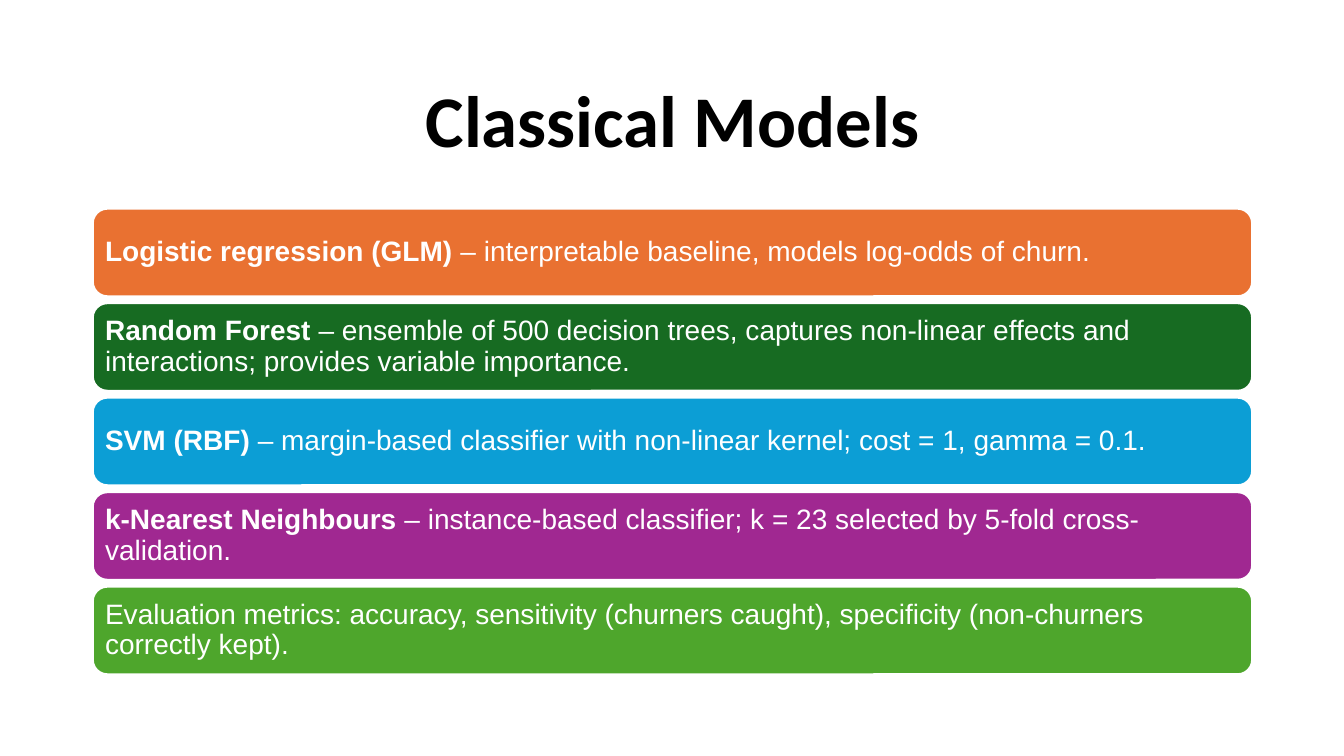
from dataclasses import dataclass

from pptx import Presentation
from pptx.dml.color import RGBColor
from pptx.enum.shapes import MSO_SHAPE
from pptx.enum.text import MSO_ANCHOR, MSO_AUTO_SIZE, PP_ALIGN
from pptx.slide import Slide
from pptx.text.text import TextFrame, _Paragraph
from pptx.util import Inches, Pt

COLORS = {
    "black": "000000",
    "white": "FFFFFF",
    "orange": "E97131",
    "forest": "176B22",
    "blue": "0C9ED5",
    "purple": "A02891",
    "green": "4EA62C",
}
LEFT, WIDTH = 0.92, 11.5
FIRST_TOP, LAST_TOP, BAR_HEIGHT = 2.07, 5.82, 0.87


@dataclass
class Bar:
    color: str
    name: str
    detail: str


BARS = [
    Bar("orange", "Logistic regression (GLM)",
        " – interpretable baseline, models log-odds of churn."),
    Bar("forest", "Random Forest",
        " – ensemble of 500 decision trees, captures non-linear effects and "
        "interactions; provides variable importance."),
    Bar("blue", "SVM (RBF)",
        " – margin-based classifier with non-linear kernel; cost = 1, gamma = 0.1."),
    Bar("purple", "k-Nearest Neighbours",
        " – instance-based classifier; k = 23 selected by 5-fold cross-validation."),
    Bar("green", "",
        "Evaluation metrics: accuracy, sensitivity (churners caught), "
        "specificity (non-churners correctly kept)."),
]


def rgb(name: str) -> RGBColor:
    return RGBColor.from_string(COLORS[name])


def add_run(p: _Paragraph, text: str, font: str, size: int, color: str, bold: bool) -> None:
    r = p.add_run()
    r.text = text
    r.font.name = font
    r.font.size = Pt(size)
    r.font.bold = bold
    r.font.color.rgb = rgb(color)


def set_frame(tf: TextFrame, side: float, edge: float, align: PP_ALIGN) -> _Paragraph:
    tf.word_wrap = True
    tf.auto_size = MSO_AUTO_SIZE.NONE
    tf.vertical_anchor = MSO_ANCHOR.MIDDLE
    tf.margin_left = tf.margin_right = Inches(side)
    tf.margin_top = tf.margin_bottom = Inches(edge)
    p = tf.paragraphs[0]
    p.alignment = align
    p.line_spacing = 0.9
    return p


def add_title(s: Slide, text: str) -> None:
    sp = s.shapes.title
    sp.left, sp.top = Inches(LEFT), Inches(0.61)
    sp.width, sp.height = Inches(WIDTH), Inches(1.24)
    p = set_frame(sp.text_frame, 0.1, 0.05, PP_ALIGN.CENTER)
    add_run(p, text, "Calibri", 52, "black", True)


def add_bar(s: Slide, bar: Bar, top: float) -> None:
    sp = s.shapes.add_shape(MSO_SHAPE.ROUNDED_RECTANGLE, Inches(LEFT), Inches(top),
                            Inches(WIDTH), Inches(BAR_HEIGHT))
    sp.shadow.inherit = False
    sp.fill.solid()
    sp.fill.fore_color.rgb = rgb(bar.color)
    sp.line.color.rgb = rgb("white")
    sp.line.width = Pt(1.5)
    p = set_frame(sp.text_frame, 0.08, 0.08, PP_ALIGN.LEFT)
    if bar.name:
        add_run(p, bar.name, "Arial", 20, "white", True)
    add_run(p, bar.detail, "Arial", 20, "white", False)


def main() -> None:
    prs = Presentation()
    prs.slide_width, prs.slide_height = Inches(13.33), Inches(7.5)
    s = prs.slides.add_slide(prs.slide_layouts[5])
    add_title(s, "Classical Models")
    pitch = (LAST_TOP - FIRST_TOP) / (len(BARS) - 1)
    for i, bar in enumerate(BARS):
        add_bar(s, bar, FIRST_TOP + i * pitch)
    prs.save("out.pptx")


if __name__ == "__main__":
    main()
